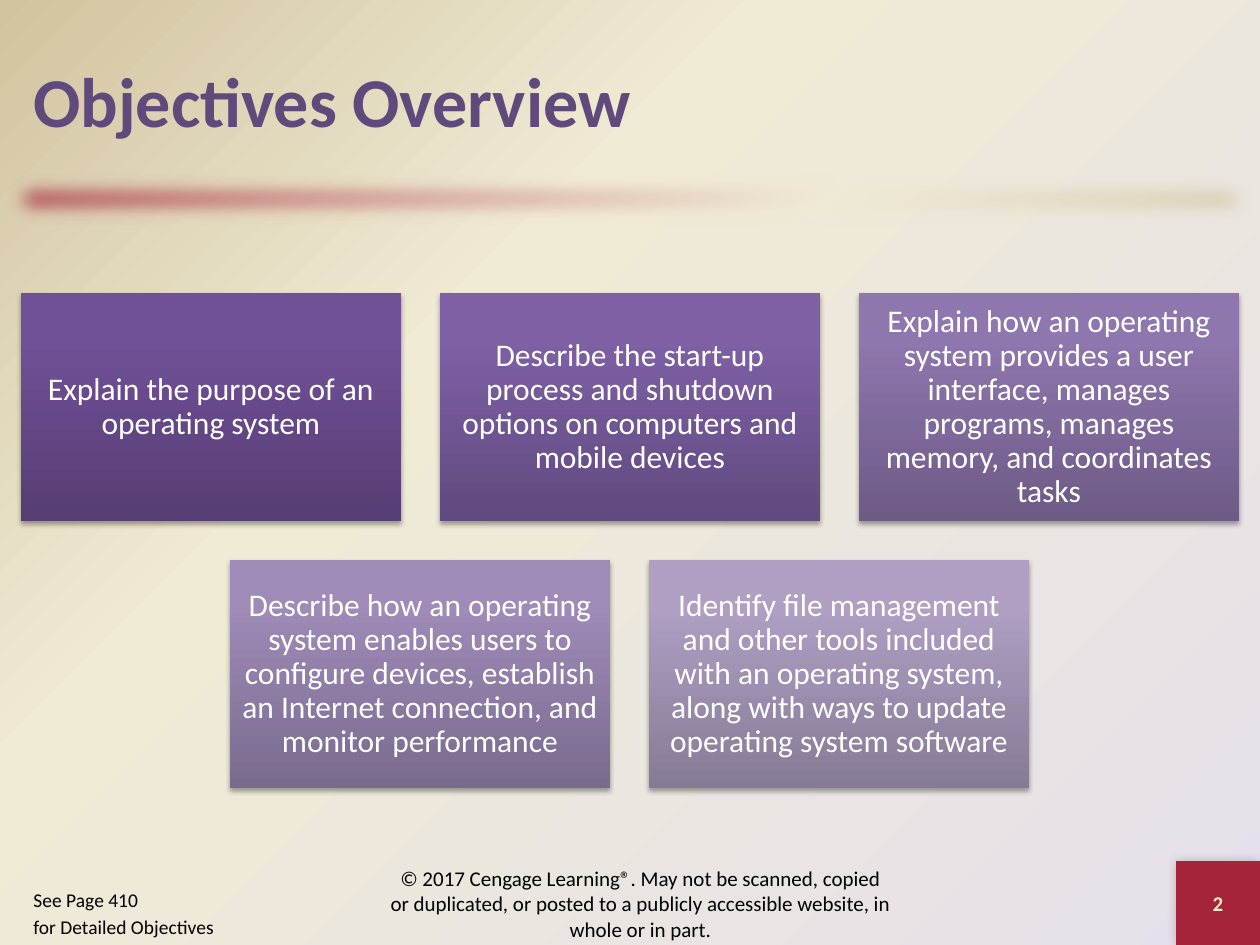
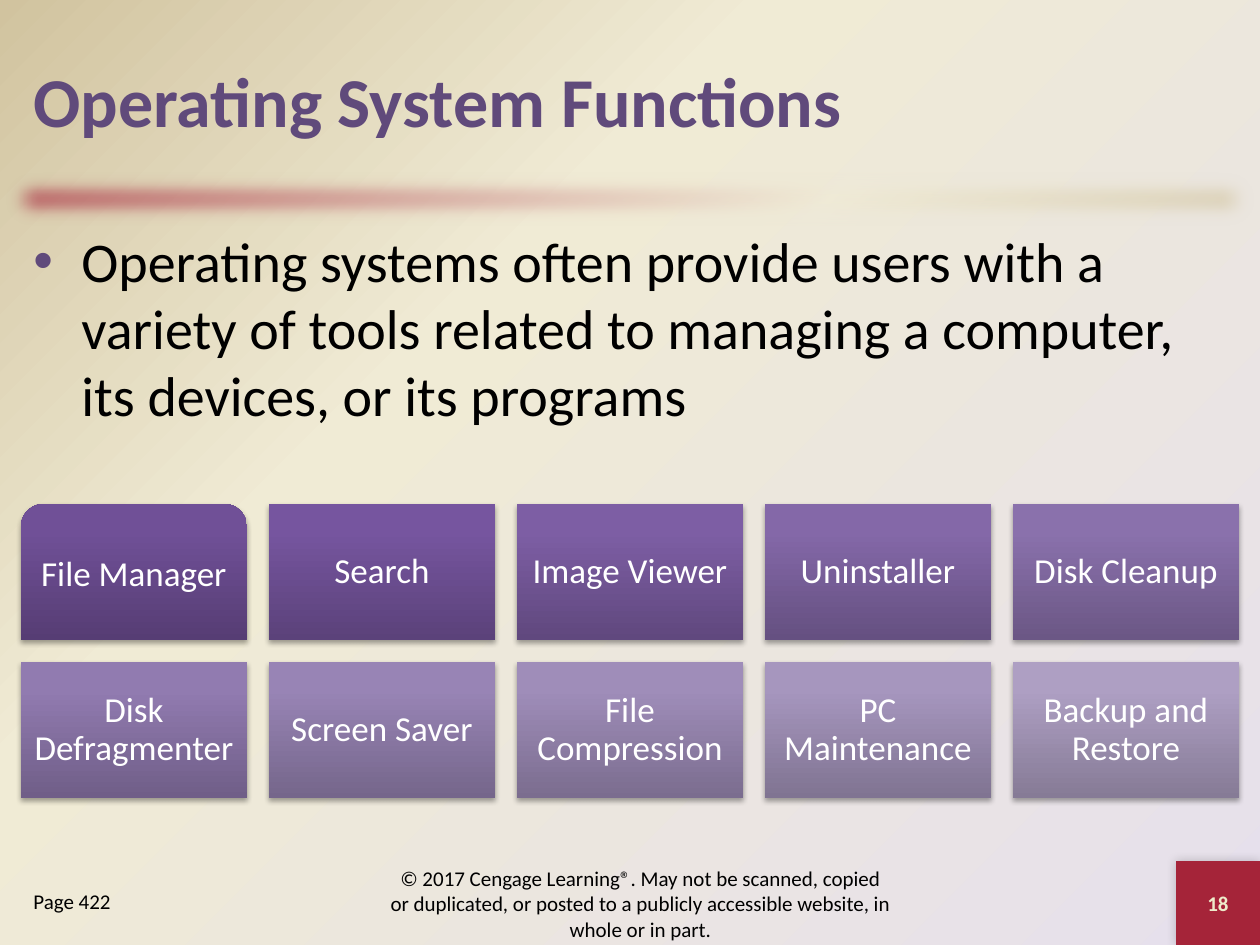
from dataclasses import dataclass

from lxml import etree
from pptx import Presentation
from pptx import util as u
from pptx.dml.color import RGBColor
from pptx.enum import shapes, text
from pptx.oxml import parse_xml
from pptx.oxml.ns import nsdecls, qn

SCALE = 914400 / 126  # EMU in one px
WIDTH, HEIGHT = 1260, 945


@dataclass(frozen=True)
class Theme:
    font: str = "Calibri"
    crimson: str = "A52439"
    cream: str = "F0EBD5"
    sand: str = "D1C39F"
    lilac: str = "E6E0EC"
    purple: str = "604A7B"
    number: str = "EEEBCA"
    white: str = "FFFFFF"
    black: str = "000000"
    title_size: float = 40
    body_size: float = 32
    small_size: float = 12


theme = Theme()
CENTER, LEFT = text.PP_ALIGN.CENTER, text.PP_ALIGN.LEFT
MIDDLE, TOP = text.MSO_ANCHOR.MIDDLE, text.MSO_ANCHOR.TOP

COPYRIGHT = ("© 2017 Cengage Learning®. May not be scanned, copied or duplicated, "
             "or posted to a publicly accessible website, in whole or in part.")

# Each box: label, then its gradient colours from bottom to top
slide_data = [
    dict(
        title="Objectives Overview", number="2", body=None,
        page=["See Page 410", "for Detailed Objectives"], page_size=11.1,
        columns=3, top=293, box=(380, 228), gap=39, inset=9, box_size=18, rounded_first=False,
        boxes=[
            ("Explain the purpose of an operating system", "563D74", "705097", "704F99"),
            ("Describe the start-up process and shutdown options on computers and mobile devices",
             "614A7F", "7E60A5", "7F60A7"),
            ("Explain how an operating system provides a user interface, manages programs, "
             "manages memory, and coordinates tasks", "6D5B86", "8E76AE", "8E75B0"),
            ("Describe how an operating system enables users to configure devices, establish "
             "an Internet connection, and monitor performance", "796B8E", "9E8BB8", "9E8BBA"),
            ("Identify file management and other tools included with an operating system, "
             "along with ways to update operating system software",
             "867B96", "AE9FC3", "AE9FC4"),
        ]),
    dict(
        title="Operating System Functions", number="18",
        body="Operating systems often provide users with a variety of tools related to "
             "managing a computer, its devices, or its programs",
        page=["Page 422"], page_size=theme.small_size,
        columns=5, top=504, box=(226, 136), gap=22, inset=10, box_size=20, rounded_first=True,
        boxes=[
            ("File Manager", "563D74", "705097", "704F99"),
            ("Search", "5B427A", "76559F", "7654A1"),
            ("Image Viewer", "60487E", "7D5EA4", "7D5DA6"),
            ("Uninstaller", "655081", "8468A8", "8467AA"),
            ("Disk Cleanup", "6B5785", "8A71AC", "8B71AE"),
            ("Disk Defragmenter", "705E88", "917BB0", "927AB2"),
            ("Screen Saver", "75668B", "9884B5", "9984B7"),
            ("File Compression", "7B6D8F", "9F8DB9", "A08DBB"),
            ("PC Maintenance", "807492", "A696BE", "A796C0"),
            ("Backup and Restore", "867B96", "AE9FC3", "AE9FC4"),
        ]),
]


def style(element, fill, stops, direction, effect=""):
    """Give an element a gradient of (position, colour) stops, and an effect if any."""
    fill.gradient()
    gradient = element.find(".//" + qn("a:gradFill"))
    marks = "".join(f'<a:gs pos="{position * 1000}"><a:srgbClr val="{color}"/></a:gs>'
                    for position, color in stops)
    gradient.getparent().replace(gradient, parse_xml(
        f'<a:gradFill {nsdecls("a")} rotWithShape="1"><a:gsLst>{marks}</a:gsLst>'
        f'{direction}</a:gradFill>'))
    if effect:
        element.find(".//" + qn("a:effectLst")).append(parse_xml(effect))


def write(shape, lines, size, color, bold=False, align=LEFT, anchor=TOP, inset=None, spacing=None):
    """Write one paragraph for each line, and return the first."""
    frame = shape.text_frame
    frame.word_wrap = True
    frame.vertical_anchor = anchor
    if inset is not None:
        frame.margin_left = frame.margin_right = u.Emu(round(inset * SCALE))
        frame.margin_top = frame.margin_bottom = frame.margin_left
    for index, line in enumerate(lines):
        paragraph = frame.add_paragraph() if index else frame.paragraphs[0]
        paragraph.alignment = align
        if spacing:
            paragraph.line_spacing = spacing
        if index:
            paragraph.space_before = u.Pt(round(size * 0.2, 1))
        run = paragraph.add_run()
        run.text = line
        run.font.name, run.font.size, run.font.bold = theme.font, u.Pt(size), bold
        run.font.color.rgb = RGBColor.from_string(color)
    return frame.paragraphs[0]


def shadow(opacity, blur, distance, angle):
    return (f'<a:outerShdw {nsdecls("a")} blurRad="{u.Pt(blur)}" dist="{u.Pt(distance)}" '
            f'dir="{angle * 60000}" algn="ctr" rotWithShape="0"><a:srgbClr val="{theme.black}">'
            f'<a:alpha val="{opacity * 1000}"/></a:srgbClr></a:outerShdw>')


def area(left, top, width, height):
    return [u.Emu(round(value * SCALE)) for value in (left, top, width, height)]


presentation = Presentation()
presentation.slide_width, presentation.slide_height = area(0, 0, WIDTH, HEIGHT)[2:]

# Background shared by all slides
master = presentation.slide_master
style(master.element, master.background.fill,
      [(0, theme.lilac), (65, theme.cream), (100, theme.sand)],
      '<a:path path="circle"><a:fillToRect l="100000" t="100000"/></a:path>')

for data in slide_data:
    slide = presentation.slides.add_slide(presentation.slide_layouts[6])

    # Soft band under the title
    band = slide.shapes.add_shape(shapes.MSO_SHAPE.RECTANGLE, *area(0, 168, WIDTH, 63))
    band.shadow.inherit = False
    band.line.fill.background()
    style(band.element, band.fill, [(0, theme.crimson), (65, theme.cream), (100, theme.sand)],
          '<a:lin ang="2700000" scaled="0"/>',
          f'<a:softEdge {nsdecls("a")} rad="{u.Pt(12.5)}"/>')

    # Slide number square
    square = slide.shapes.add_shape(shapes.MSO_SHAPE.RECTANGLE, *area(1176, 861, 84, 84))
    square.shadow.inherit = False
    square.line.fill.background()
    square.fill.solid()
    square.fill.fore_color.rgb = RGBColor.from_string(theme.crimson)
    square.element.find(".//" + qn("a:effectLst")).append(parse_xml(shadow(20, 6, 0, 225)))
    write(square, [data["number"]], theme.small_size, theme.number, True, CENTER, MIDDLE)

    # Title, copyright line and page reference
    title = slide.shapes.add_textbox(*area(21, 21, 1218, 158))
    write(title, [data["title"]], theme.title_size, theme.purple, True, anchor=MIDDLE)
    footer = slide.shapes.add_textbox(*area(378, 872, 525, 63))
    write(footer, [COPYRIGHT], theme.small_size, theme.black, align=CENTER, anchor=MIDDLE)
    page = slide.shapes.add_textbox(*area(21, 882, 231, 63))
    write(page, data["page"], data["page_size"], theme.black)

    # Bulleted statement
    if data["body"]:
        body = slide.shapes.add_textbox(*area(21, 220, 1218, 240))
        paragraph = write(body, [data["body"]], theme.body_size, theme.black)
        properties = paragraph._p.get_or_add_pPr()
        properties.set("marL", str(round(48 * SCALE)))
        properties.set("indent", str(round(-48 * SCALE)))
        color = etree.SubElement(properties, qn("a:buClr"))
        etree.SubElement(color, qn("a:srgbClr"), val=theme.purple)
        etree.SubElement(properties, qn("a:buFont"), typeface="Arial")
        etree.SubElement(properties, qn("a:buChar"), char="•")

    # Grid of boxes, each row centred on the slide
    width, height = data["box"]
    gap, columns, boxes = data["gap"], data["columns"], data["boxes"]
    for index, (label, bottom, upper, top) in enumerate(boxes):
        row, column = divmod(index, columns)
        count = min(columns, len(boxes) - row * columns)
        left = (WIDTH - count * width - (count - 1) * gap) // 2
        rounded = data["rounded_first"] and index == 0
        outline = (shapes.MSO_SHAPE.ROUND_2_SAME_RECTANGLE if rounded
                   else shapes.MSO_SHAPE.RECTANGLE)
        box = slide.shapes.add_shape(outline, *area(
            left + column * (width + gap), data["top"] + row * (height + gap), width, height))
        box.shadow.inherit = False
        box.line.fill.background()
        style(box.element, box.fill, [(0, bottom), (80, upper), (100, top)],
              '<a:lin ang="16200000" scaled="0"/>', shadow(35, 3.1, 1.8, 90))
        write(box, [label], data["box_size"], theme.white, align=CENTER, anchor=MIDDLE,
              inset=data["inset"], spacing=0.9)

presentation.save("out.pptx")
